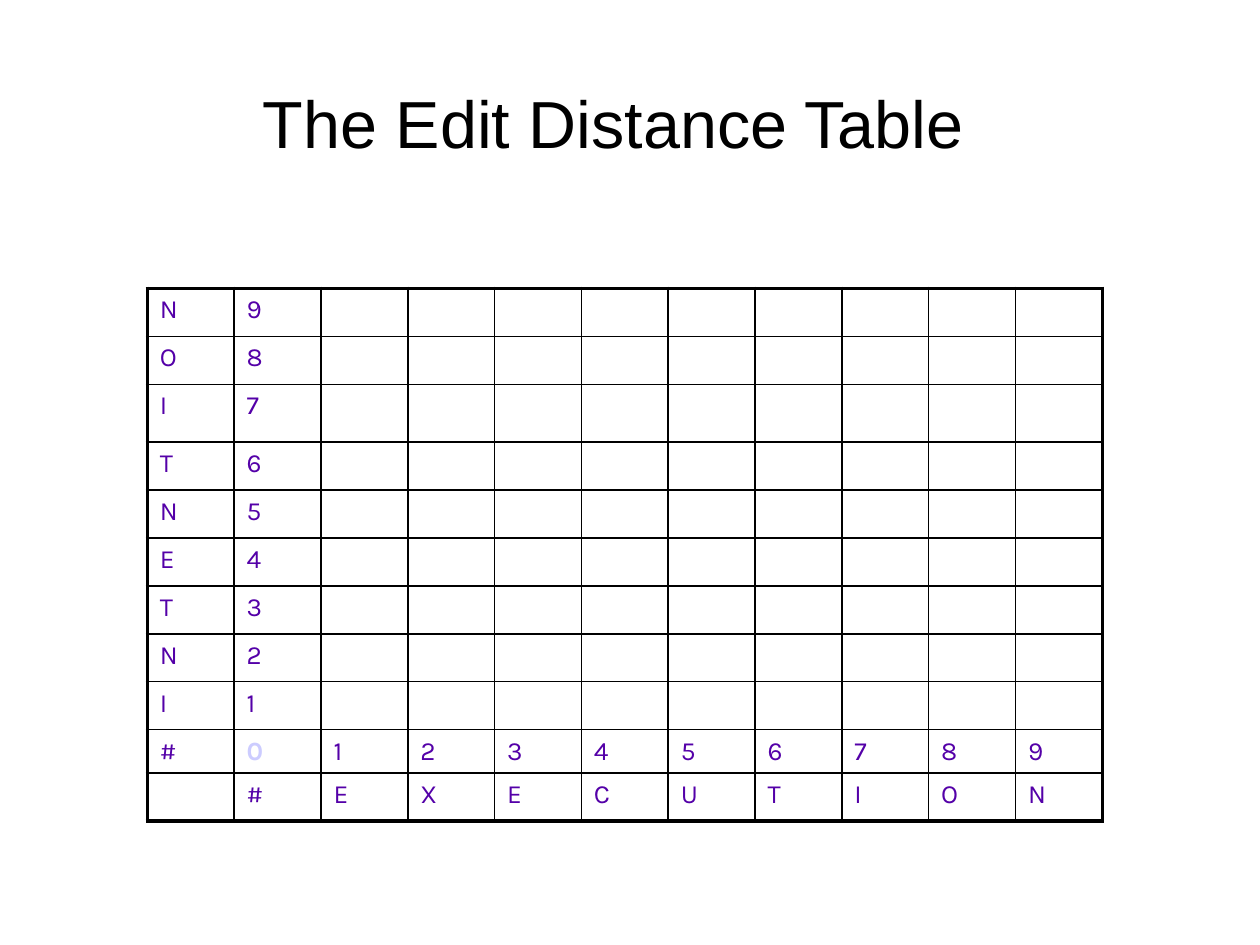
from lxml import etree
from pptx import Presentation
from pptx.dml.color import RGBColor
from pptx.enum.text import MSO_ANCHOR, PP_ALIGN
from pptx.oxml.ns import qn
from pptx.util import Pt

MIDDLE = MSO_ANCHOR.MIDDLE
LEFT, CENTER = PP_ALIGN.LEFT, PP_ALIGN.CENTER

BLACK = RGBColor(0x00, 0x00, 0x00)
PURPLE = RGBColor(0x54, 0x00, 0xA8)
LAVENDER = RGBColor(0xCC, 0xCC, 0xFF)

# Content: the source word runs upwards, the target word to the right
TITLE = "The Edit Distance Table"
SOURCE = "#INTENTION"
TARGET = "#EXECUTION"
grid = [[letter, str(cost)] + [""] * (len(TARGET) - 1)
        for cost, letter in reversed(list(enumerate(SOURCE)))]
grid[-1] = [SOURCE[0]] + [str(cost) for cost in range(len(TARGET))]
grid.append([""] + list(TARGET))
ROWS, COLUMNS = len(grid), len(grid[0])
START = (ROWS - 2, 1)

# Layout in points
TABLE_LEFT, TABLE_TOP, TABLE_WIDTH = 84.2, 164.8, 545.8
ROW_HEIGHT, TALL_ROW, TALL_HEIGHT = 23, 2, 33.1
OUTER_LINE, INNER_LINE = 2.21, 0.96


def write(frame, text, size, font, color, bold=False, align=LEFT, spacing=None):
    para = frame.paragraphs[0]
    para.alignment = align
    para.line_spacing = spacing
    span = para.add_run()
    span.text = text
    span.font.size = Pt(size)
    span.font.name = font
    span.font.bold = bold
    span.font.color.rgb = color


def set_border(cell, side, width):
    line = etree.SubElement(cell._tc.get_or_add_tcPr(), qn("a:ln" + side), w=str(Pt(width)))
    fill = etree.SubElement(line, qn("a:solidFill"))
    etree.SubElement(fill, qn("a:srgbClr"), val=str(BLACK))


def set_empty_font(cell, size, font):
    """An empty cell still sets the least height of its row."""
    end = etree.SubElement(cell.text_frame.paragraphs[0]._p, qn("a:endParaRPr"),
                           sz=str(size * 100))
    etree.SubElement(end, qn("a:latin"), typeface=font)


deck = Presentation()
deck.slide_width, deck.slide_height = Pt(720), Pt(540)
page = deck.slides.add_slide(deck.slide_layouts[6])

# Distance table
table = page.shapes.add_table(ROWS, COLUMNS, Pt(TABLE_LEFT), Pt(TABLE_TOP),
                              Pt(TABLE_WIDTH), Pt(ROW_HEIGHT * ROWS)).table
table.first_row = table.horz_banding = False
for column in table.columns:
    column.width = Pt(TABLE_WIDTH / COLUMNS)
for row in table.rows:
    row.height = Pt(ROW_HEIGHT)
table.rows[TALL_ROW].height = Pt(TALL_HEIGHT)

for r, texts in enumerate(grid):
    for c, text in enumerate(texts):
        cell = table.cell(r, c)
        outer_sides = {"L": c == 0, "R": c == COLUMNS - 1, "T": r == 0, "B": r == ROWS - 1}
        for side, outer in outer_sides.items():
            set_border(cell, side, OUTER_LINE if outer else INNER_LINE)
        cell.fill.background()
        if text:
            is_start = (r, c) == START
            write(cell.text_frame, text, size=15, font="Karla", bold=is_start,
                  color=LAVENDER if is_start else PURPLE)
        else:
            set_empty_font(cell, size=18, font="Arial")

# Title
box = page.shapes.add_textbox(Pt(10.8), Pt(33.8), Pt(679.7), Pt(78.5))
box.text_frame.word_wrap = True
box.text_frame.vertical_anchor = MIDDLE
write(box.text_frame, TITLE, size=38, font="Arial", color=BLACK, align=CENTER, spacing=0.85)

deck.save("out.pptx")
